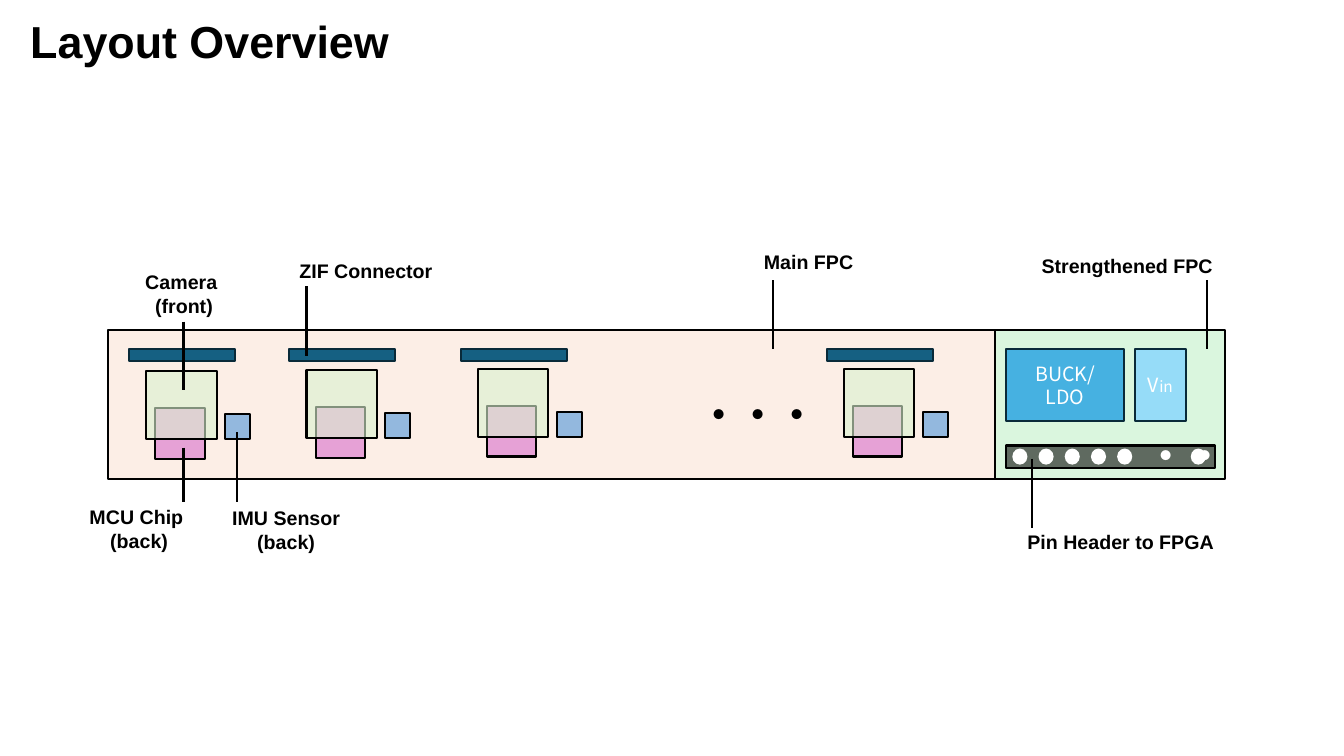
from lxml import etree
from pptx import Presentation
from pptx.dml.color import RGBColor
from pptx.enum.shapes import MSO_CONNECTOR, MSO_SHAPE
from pptx.enum.text import MSO_ANCHOR, MSO_AUTO_SIZE, PP_ALIGN
from pptx.oxml.ns import qn
from pptx.util import Emu, Pt

EMU_PER_PX = 9144
RECTANGLE = MSO_SHAPE.RECTANGLE
OVAL = MSO_SHAPE.OVAL
STRAIGHT = MSO_CONNECTOR.STRAIGHT
TOP, MIDDLE = MSO_ANCHOR.TOP, MSO_ANCHOR.MIDDLE
LEFT, CENTER = PP_ALIGN.LEFT, PP_ALIGN.CENTER
GROW = MSO_AUTO_SIZE.SHAPE_TO_FIT_TEXT
LABEL_FONT, BLOCK_FONT = "Arial", "Noto Sans CJK SC"
BLACK, WHITE, NAVY = "000000", "FFFFFF", "092A39"

MODULE_ORIGINS = [(145, 368), (304, 367), (474, 366), (837, 366)]
PIN_LEFTS = [1004 + 26 * index for index in range(5)] + [1181]
LABELS = [
    (107, 263, 151, 57, ["Camera ", "(front)"]),
    (177, 497, 219, 57, ["IMU Sensor ", "(back) "]),
    (72, 496, 132, 57, ["MCU Chip ", "(back)"]),
    (279, 252, 168, 34, ["ZIF Connector"]),
    (1002, 521, 219, 34, ["Pin Header to FPGA"]),
    (718, 243, 168, 34, ["Main FPC"]),
    (1014, 247, 208, 34, ["Strengthened FPC"]),
]
LEADERS = [
    (235, 429, 498),
    (182, 444, 498),
    (304, 284, 353),
    (182, 319, 387),
    (1024, 455, 524),
    (767, 278, 346),
    (1197, 278, 346),
]


def px(*lengths):
    return [Emu(length * EMU_PER_PX) for length in lengths]


def color(value):
    return RGBColor.from_string(value)


def add_run(paragraph, text, size, font_name, text_color, bold):
    run = paragraph.add_run()
    run.text = text
    font = run.font
    font.size, font.name, font.bold = Pt(size), font_name, bold
    font.color.rgb = color(text_color)
    east_asian = etree.Element(qn("a:ea"), typeface=font_name)
    run._r.get_or_add_rPr().find(qn("a:latin")).addnext(east_asian)


def add_box(slide, kind, bounds, fill, line=None, alpha=None):
    shape = slide.shapes.add_shape(kind, *px(*bounds))
    shape.shadow.inherit = False
    shape.fill.solid()
    shape.fill.fore_color.rgb = color(fill)
    if alpha:
        rgb = shape._element.spPr.find(qn("a:solidFill")).find(qn("a:srgbClr"))
        etree.SubElement(rgb, qn("a:alpha"), val=str(alpha * 1000))
    if line:
        shape.line.color.rgb = color(line)
        shape.line.width = Pt(1.5)
    else:
        shape.line.fill.background()
    return shape


def add_block(slide, bounds, fill, runs):
    shape = add_box(slide, RECTANGLE, bounds, fill, NAVY)
    frame = shape.text_frame
    frame.word_wrap = True
    frame.vertical_anchor = MIDDLE
    paragraph = frame.paragraphs[0]
    paragraph.alignment = CENTER
    for text, size in runs:
        add_run(paragraph, text, size, BLOCK_FONT, WHITE, False)


def add_label(slide, bounds, lines, size=14, font_name=LABEL_FONT,
              text_color=BLACK, alignment=CENTER):
    frame = slide.shapes.add_textbox(*px(*bounds)).text_frame
    frame.word_wrap = True
    frame.auto_size = GROW
    for index, text in enumerate(lines):
        paragraph = frame.add_paragraph() if index else frame.paragraphs[0]
        paragraph.alignment = alignment
        add_run(paragraph, text, size, font_name, text_color, True)


def add_dots(slide, bounds, text_color):
    add_label(slide, bounds, ["···"], 28, BLOCK_FONT, text_color, LEFT)


def add_leader(slide, x, top, bottom):
    connector = slide.shapes.add_connector(STRAIGHT, *px(x, top, x, bottom))
    connector.line.color.rgb = color(BLACK)
    connector.line.width = Pt(1.5)
    etree.SubElement(connector._element.spPr, qn("a:effectLst"))


def add_module(slide, x, y):
    add_box(slide, RECTANGLE, (x + 9, y + 37, 49, 50), "D86ECC", BLACK, 60)
    add_box(slide, RECTANGLE, (x, y, 70, 68), "D9F2D0", BLACK, 60)
    add_box(slide, RECTANGLE, (x + 78, y + 43, 25, 25), "4E95D9", BLACK, 60)
    add_box(slide, RECTANGLE, (x - 17, 346, 105, 12), "156082", NAVY)


def add_title(slide, text):
    title = slide.shapes.title
    title.left, title.top, title.width, title.height = px(20, 9, 978, 64)
    frame = title.text_frame
    frame.word_wrap = True
    frame.auto_size = GROW
    frame.vertical_anchor = TOP
    paragraph = frame.paragraphs[0]
    paragraph.alignment = LEFT
    add_run(paragraph, text, 32, LABEL_FONT, BLACK, True)


def add_pin_header(slide):
    add_box(slide, RECTANGLE, (998, 442, 207, 22), "0D0D0D", BLACK, 60)
    for left in PIN_LEFTS:
        add_box(slide, OVAL, (left, 445, 15, 16), WHITE)
    add_dots(slide, (1127, 423, 139, 57), WHITE)


def main():
    presentation = Presentation()
    presentation.slide_width, presentation.slide_height = px(1333, 750)
    slide = presentation.slides.add_slide(presentation.slide_layouts[5])
    add_title(slide, "Layout Overview")

    add_box(slide, RECTANGLE, (107, 327, 880, 148), "FBE3D6", BLACK, 60)
    add_box(slide, RECTANGLE, (987, 327, 228, 148), "C2F1C8", BLACK, 60)
    for x, y in MODULE_ORIGINS:
        add_module(slide, x, y)
    add_dots(slide, (684, 382, 139, 57), BLACK)

    add_pin_header(slide)
    add_block(slide, (998, 346, 117, 72), "46B1E1", [("BUCK/LDO", 14)])
    add_block(slide, (1126, 346, 50, 72), "96DCF8", [("V", 14), ("in", 11)])

    for *bounds, lines in LABELS:
        add_label(slide, bounds, lines)
    for x, top, bottom in LEADERS:
        add_leader(slide, x, top, bottom)

    presentation.save("out.pptx")


if __name__ == "__main__":
    main()
